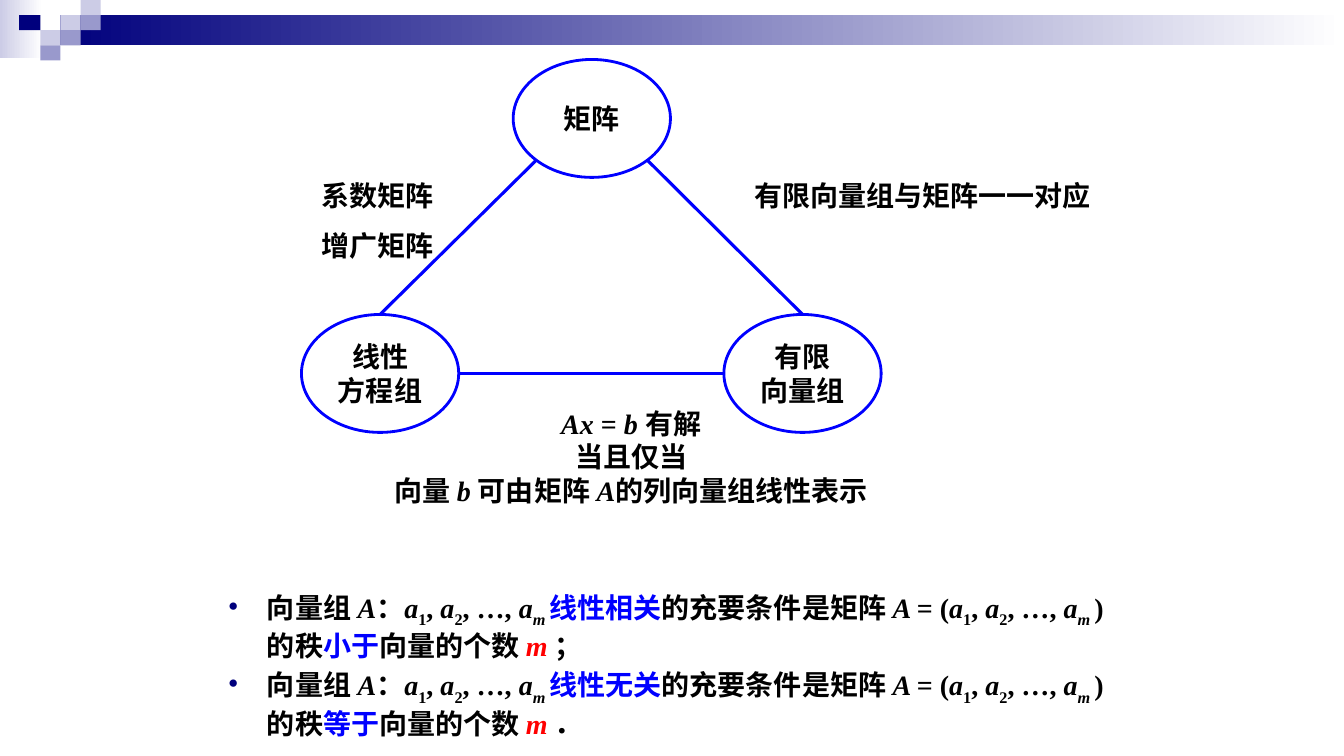
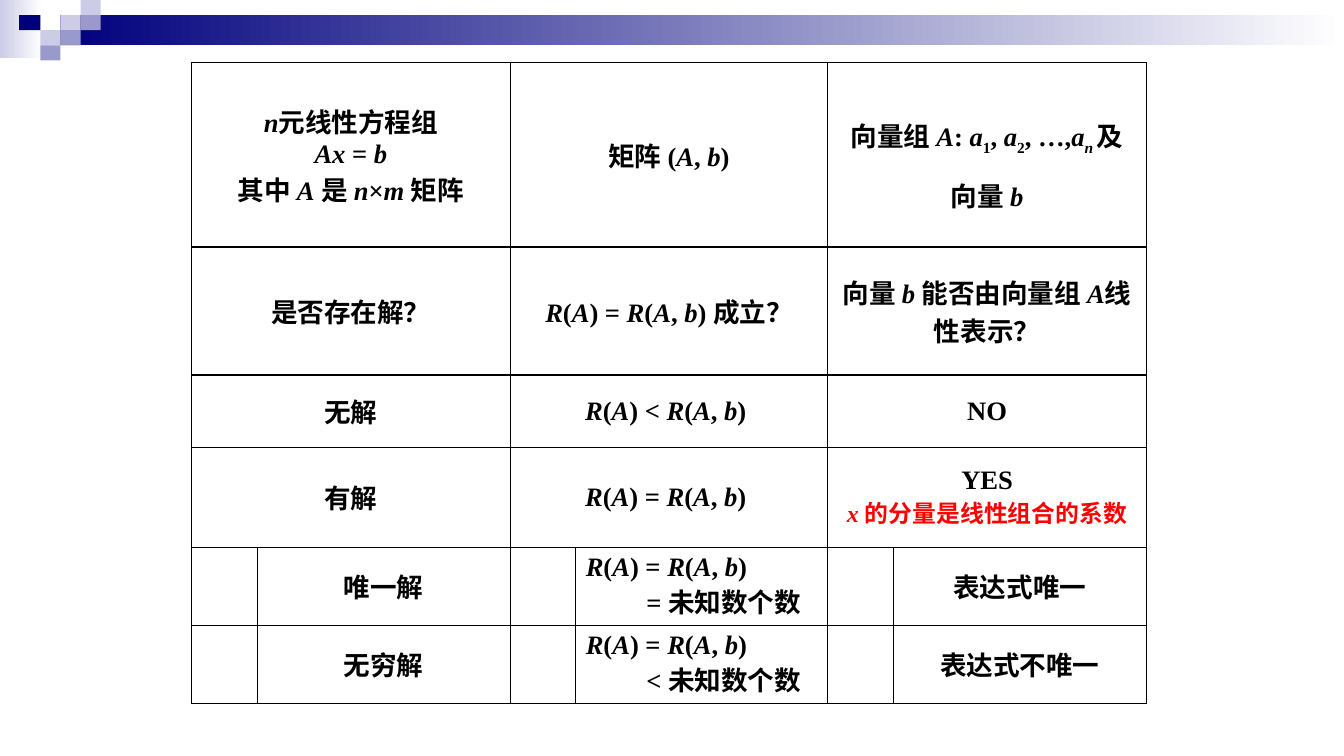
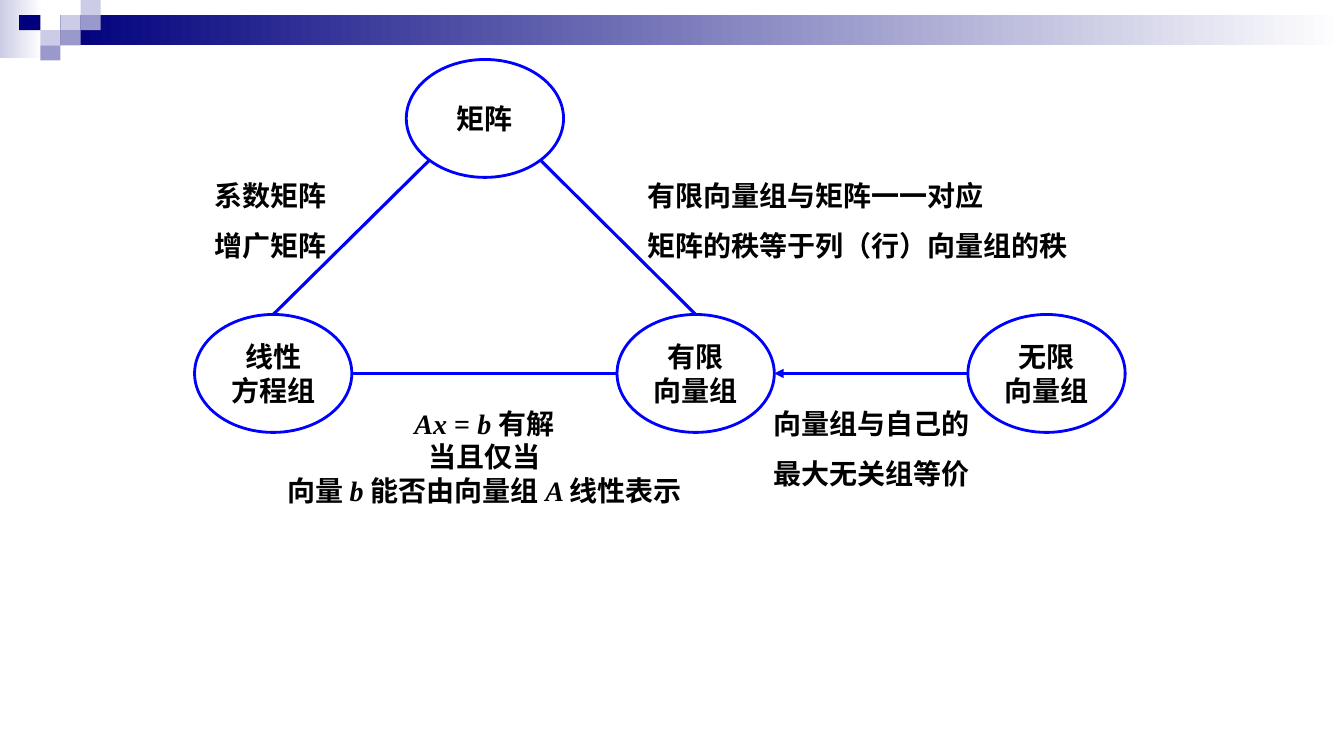
from itertools import accumulate, groupby

from lxml import etree
from pptx import Presentation
from pptx.dml.color import RGBColor
from pptx.enum.shapes import MSO_CONNECTOR, MSO_SHAPE
from pptx.enum.text import MSO_ANCHOR, PP_ALIGN
from pptx.oxml.ns import qn
from pptx.util import Inches, Pt

SERIF, SANS = "Times New Roman", "Noto Sans CJK SC"
BLACK, BLUE, RED, NAVY = "000000", "0000FF", "FF0000", "00007D"
PALE, MID, WHITE = "CCCCE6", "9999CC", "FFFFFF"
LEFT, CENTER = PP_ALIGN.LEFT, PP_ALIGN.CENTER

# Text marks: *italic*, _subscript_, ^blue^, !red!
MARKS = "*_^!"

# left, top, width, height, colour or pair of gradient colours
BAND = [
    (0, 0, 0.42, 0.58, (PALE, WHITE)),
    (0.6, 0.15, 12.73, 0.3, (NAVY, WHITE)),
    (0.6, 0.15, 0.2, 0.15, PALE),
    (0.8, 0, 0.2, 0.15, PALE),
    (0.8, 0.15, 0.2, 0.15, MID),
    (0.4, 0.3, 0.2, 0.15, PALE),
    (0.19, 0.15, 0.21, 0.15, NAVY),
    (0.6, 0.3, 0.2, 0.15, MID),
    (0.4, 0.45, 0.2, 0.15, MID),
]

# Diagram: offsets from the diagram's left edge
NODE_SIZE = (1.56, 1.17)
NODES = {
    "matrix": (2.1, 0.59, ["矩阵"]),
    "equations": (0, 3.12, ["线性", "方程组"]),
    "finite": (4.19, 3.12, ["有限", "向量组"]),
    "infinite": (7.67, 3.12, ["无限", "向量组"]),
}
SITES = {"top": (0.5, 0), "left": (0, 0.5), "right": (1, 0.5),
         "lower left": (0.15, 0.85), "lower right": (0.85, 0.85)}
TRIANGLE = [
    ("matrix", "lower left", "equations", "top", False),
    ("matrix", "lower right", "finite", "top", False),
    ("equations", "right", "finite", "left", False),
]
REDUCTION = ("infinite", "left", "finite", "right", True)

SPACED = {"line_spacing": 1.5}
COEFFICIENTS = (0.1, 1.72, 1.32, 0.94, SANS, LEFT, False,
                ["系数矩阵", ("增广矩阵", SPACED)])
ONE_TO_ONE = "有限向量组与矩阵一一对应"
SOLVABLE = ["*Ax* = *b *有解", "当且仅当"]

DIAGRAM_1 = {
    "left": 2.99,
    "nodes": ["matrix", "equations", "finite"],
    "links": TRIANGLE,
    "labels": [
        COEFFICIENTS,
        (4.39, 1.72, 3.55, 0.44, SANS, LEFT, False, [ONE_TO_ONE]),
        (0.81, 3.98, 4.92, 1.11, SERIF, CENTER, True,
         SOLVABLE + ["向量 *b *可由矩阵 *A*的列向量组线性表示"]),
    ],
}
DIAGRAM_2 = {
    "left": 1.93,
    "nodes": list(NODES),
    "links": TRIANGLE + [REDUCTION],
    "labels": [
        COEFFICIENTS,
        (4.39, 1.72, 4.39, 0.94, SANS, LEFT, False,
         [ONE_TO_ONE, ("矩阵的秩等于列（行）向量组的秩", SPACED)]),
        (0.8, 3.98, 4.15, 1.11, SERIF, CENTER, True,
         SOLVABLE + ["向量 *b *能否由向量组 *A *线性表示"]),
        (5.64, 3.98, 2.15, 0.94, SERIF, CENTER, False,
         ["向量组与自己的", ("最大无关组等价", SPACED)]),
    ],
}

VECTORS = "*a*_1_, *a*_2_, …, *a*_*m *_"
CRITERIA = [
    f"向量组 *A*：{VECTORS}^线性{relation}^的充要条件是矩阵 *A *= ({VECTORS}) "
    f"的秩^{comparison}^向量的个数 !*m *!{stop}"
    for relation, comparison, stop in [("相关", "小于", "；"), ("无关", "等于", "．")]
]

COLUMNS = [0.65, 2.51, 0.65, 2.5, 0.65, 2.51]
ROWS = [1.83, 1.27, 0.72, 0.99, 0.73, 0.73]
RANK_A, RANK_AB = "*R*(*A*)", "*R*(*A*, *b*)"
UNDER_RANK = {"indent": 0.6}
# Three topics per row; the first rows span both columns of a topic
SPANNING_ROWS = 4
TOPICS = [
    [["*n*元线性方程组", "*Ax* = *b*", "其中 *A* 是 *n*×*m *矩阵"],
     ["矩阵 (*A*, *b*)"],
     [("向量组 *A*: *a*_1_, *a*_2_, …,*a*_*n *_及向量 *b*", SPACED)]],
    [["是否存在解？"], [f"{RANK_A} = {RANK_AB} 成立？"],
     ["向量 *b *能否由向量组 *A*线性表示？"]],
    [["无解"], [f"{RANK_A} < {RANK_AB} "], ["NO"]],
    [["有解"], [f"{RANK_A} = {RANK_AB} "],
     ["YES", ("!*x* 的分量是线性组合的系数!", {"size": 17})]],
    [["唯一解"], [f"{RANK_A} = {RANK_AB}", ("= 未知数个数", UNDER_RANK)],
     ["表达式唯一"]],
    [["无穷解"], [f"{RANK_A} = {RANK_AB}", ("< 未知数个数", UNDER_RANK)],
     ["表达式不唯一"]],
]


def rgb(value):
    return RGBColor.from_string(value)


def add_xml(parent, tag, **attributes):
    return etree.SubElement(parent, qn(tag), attributes)


def box(*lengths):
    return [Inches(length) for length in lengths]


def marked_runs(text):
    """Yield (characters, active marks) for each stretch of equal format."""
    active, styled = frozenset(), []
    for char in text:
        if char in MARKS:
            active ^= {char}
        else:
            styled.append((char, active))
    for marks, group in groupby(styled, key=lambda pair: pair[1]):
        yield "".join(char for char, _ in group), marks


def write_text(frame, paragraphs, size=20, font=SERIF, align=CENTER, bullet=False):
    """Fill a text frame; a paragraph is marked text or (marked text, options)."""
    for index, entry in enumerate(paragraphs):
        text, options = entry if isinstance(entry, tuple) else (entry, {})
        paragraph = frame.paragraphs[0] if index == 0 else frame.add_paragraph()
        paragraph.alignment = align
        if "line_spacing" in options:
            paragraph.line_spacing = options["line_spacing"]
        properties = paragraph._p.get_or_add_pPr()
        if "indent" in options:
            properties.set("marL", str(Inches(options["indent"])))
        if bullet:
            if index:
                paragraph.space_before = Pt(4)
            properties.set("marL", str(Inches(0.38)))
            properties.set("indent", str(Inches(-0.38)))
            add_xml(add_xml(properties, "a:buClr"), "a:srgbClr", val=NAVY)
            add_xml(properties, "a:buChar", char="•")
        for characters, marks in marked_runs(text):
            run = paragraph.add_run()
            run.text = characters
            color = BLUE if "^" in marks else RED if "!" in marks else BLACK
            run.font.color.rgb = rgb(color)
            values = {"size": Pt(options.get("size", size)), "bold": True,
                      "italic": "*" in marks, "name": font}
            for name, value in values.items():
                setattr(run.font, name, value)
            run_properties = run._r.get_or_add_rPr()
            add_xml(run_properties, "a:ea", typeface=SANS)
            if "_" in marks:
                run_properties.set("baseline", "-25000")


def add_band(slide, layout):
    """Draw the header band and move it to the layout all slides use."""
    for *place, color in BAND:
        tile = slide.shapes.add_shape(MSO_SHAPE.RECTANGLE, *box(*place))
        tile.shadow.inherit = False
        tile.line.fill.background()
        if isinstance(color, tuple):
            tile.fill.gradient()
            tile.fill.gradient_angle = 0
            for stop, shade in zip(tile.fill.gradient_stops, color):
                stop.color.rgb = rgb(shade)
        else:
            tile.fill.solid()
            tile.fill.fore_color.rgb = rgb(color)
        layout.shapes.element.append(tile._element)


def add_text(slide, place, paragraphs, wrap=True, **style):
    frame = slide.shapes.add_textbox(*box(*place)).text_frame
    frame.word_wrap = wrap
    write_text(frame, paragraphs, **style)


def add_node(slide, left, top, lines):
    node = slide.shapes.add_shape(MSO_SHAPE.OVAL, *box(left, top, *NODE_SIZE))
    node.shadow.inherit = False
    node.fill.background()
    node.line.color.rgb = rgb(BLUE)
    node.line.width = Pt(2)
    node.text_frame.vertical_anchor = MSO_ANCHOR.MIDDLE
    write_text(node.text_frame, lines)
    return node


def site_point(node, site):
    across, down = SITES[site]
    return (node.left + int(node.width * across),
            node.top + int(node.height * down))


def add_link(slide, start, start_site, end, end_site, arrow):
    link = slide.shapes.add_connector(
        MSO_CONNECTOR.STRAIGHT,
        *site_point(start, start_site), *site_point(end, end_site))
    if end_site == "top":
        link.end_connect(end, 0)
    link.line.color.rgb = rgb(BLUE)
    link.line.width = Pt(2.25)
    if arrow:
        add_xml(link.line._get_or_add_ln(), "a:tailEnd", type="triangle")
    add_xml(link._element.spPr, "a:effectLst")


def add_diagram(slide, diagram):
    origin = diagram["left"]
    nodes = {}
    for key in diagram["nodes"]:
        left, top, lines = NODES[key]
        nodes[key] = add_node(slide, origin + left, top, lines)
    for start, start_site, end, end_site, arrow in diagram["links"]:
        add_link(slide, nodes[start], start_site, nodes[end], end_site, arrow)
    for left, top, width, height, font, align, wrap, lines in diagram["labels"]:
        add_text(slide, (origin + left, top, width, height), lines,
                 wrap=wrap, font=font, align=align)


def outline_cell(cell):
    properties = cell._tc.get_or_add_tcPr()
    for side in "LRTB":
        border = add_xml(properties, f"a:ln{side}", w=str(Pt(1)))
        add_xml(add_xml(border, "a:solidFill"), "a:srgbClr", val=BLACK)
    cell.fill.background()


def add_comparison(slide):
    table = slide.shapes.add_table(
        len(ROWS), len(COLUMNS),
        *box(1.9, 0.62, sum(COLUMNS), sum(ROWS))).table
    table.first_row = table.horz_banding = False
    for column, width in zip(table.columns, COLUMNS):
        column.width = Inches(width)
    for row, height in zip(table.rows, ROWS):
        row.height = Inches(height)
    for cell in table.iter_cells():
        outline_cell(cell)
    for row, topics in enumerate(TOPICS):
        spanning = row < SPANNING_ROWS
        for topic, lines in enumerate(topics):
            narrow, wide = (table.cell(row, 2 * topic + step) for step in (0, 1))
            if spanning:
                narrow.merge(wide)
            target = narrow if spanning else wide
            target.vertical_anchor = MSO_ANCHOR.MIDDLE
            rank_pair = not spanning and topic == 1
            write_text(target.text_frame, lines, size=19,
                       align=LEFT if rank_pair else CENTER)


def main():
    deck = Presentation()
    deck.slide_width, deck.slide_height = box(13.33, 7.5)
    blank = deck.slide_layouts[6]
    summary, comparison, overview = (deck.slides.add_slide(blank) for _ in range(3))
    add_band(summary, blank)

    add_diagram(summary, DIAGRAM_1)
    add_text(summary, (2.17, 5.81, 9, 1.53), CRITERIA, align=LEFT, bullet=True)
    add_comparison(comparison)
    add_diagram(overview, DIAGRAM_2)

    deck.save("out.pptx")


if __name__ == "__main__":
    main()
